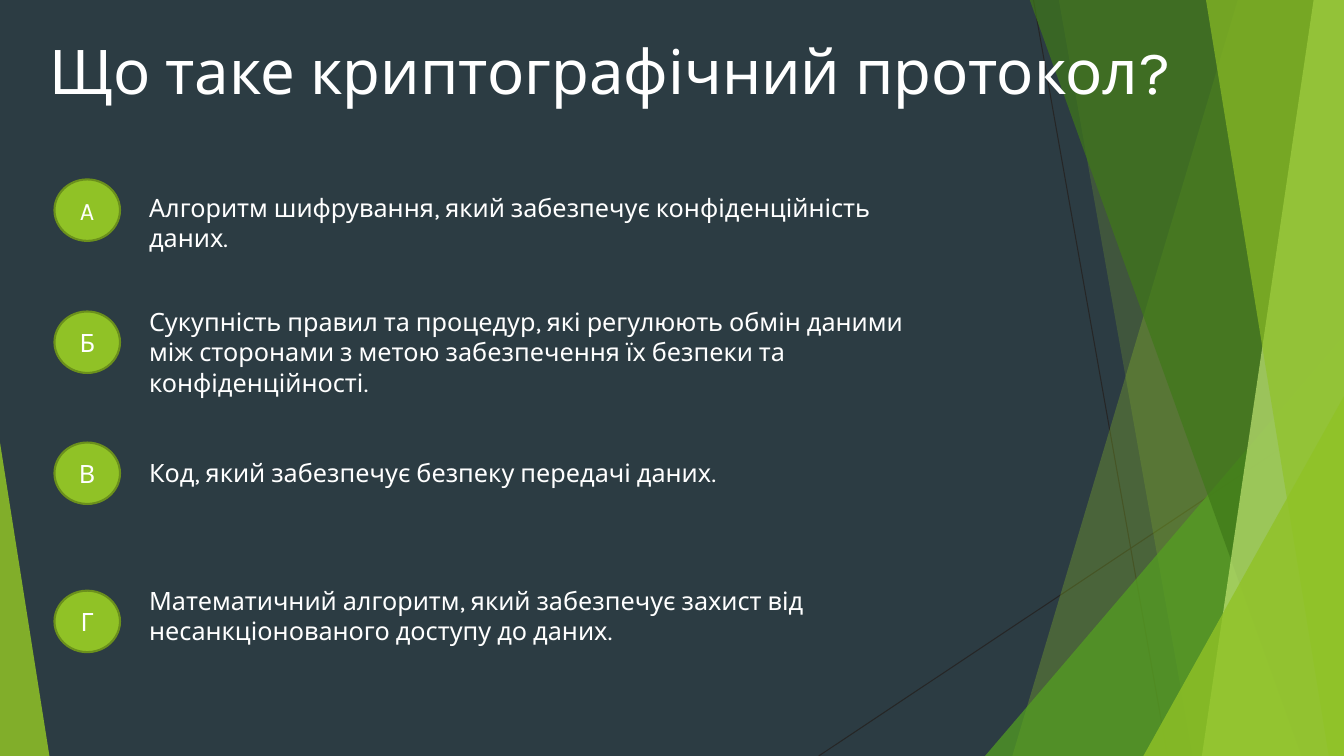
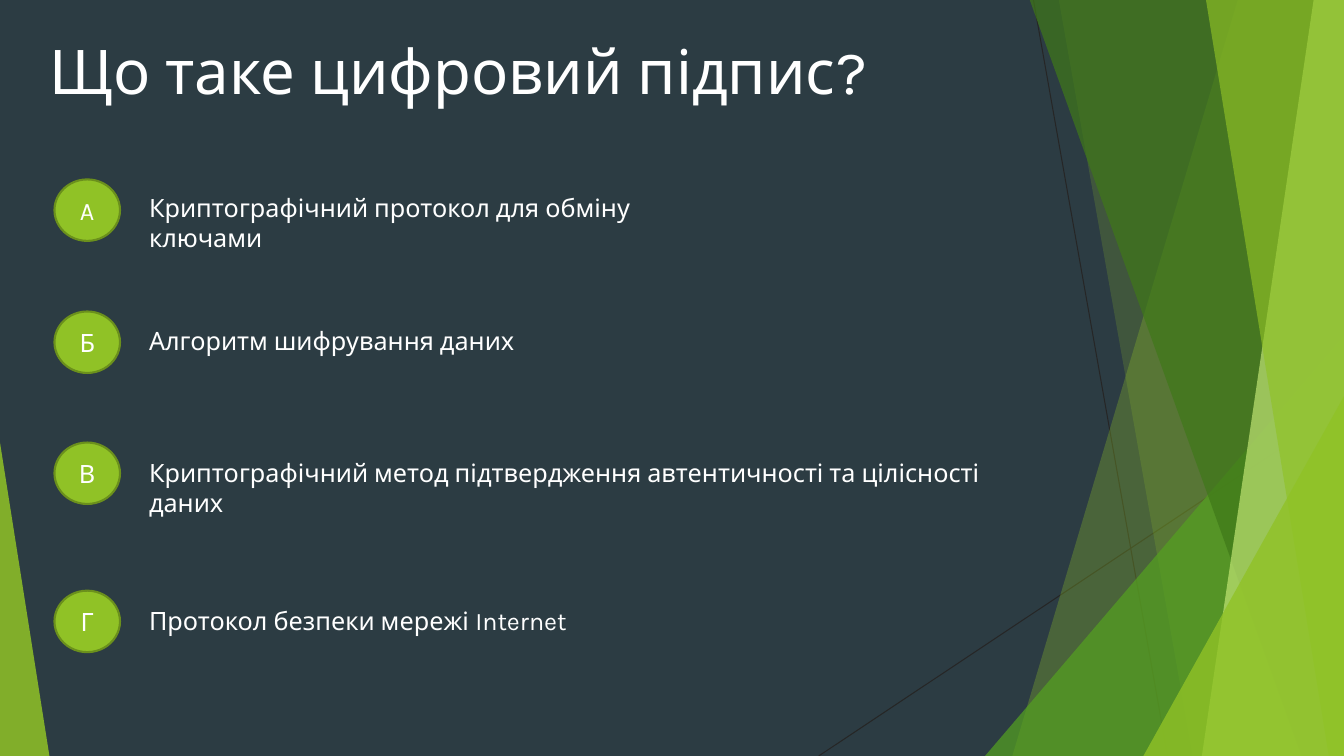
import pptx
import pptx.dml.color
import pptx.enum.shapes
import pptx.enum.text
import pptx.oxml
import pptx.oxml.ns
import pptx.util

Inches = pptx.util.Inches
Pt = pptx.util.Pt
SHAPES = pptx.enum.shapes.MSO_SHAPE
ALIGN = pptx.enum.text.PP_ALIGN
ANCHOR = pptx.enum.text.MSO_ANCHOR
FIT = pptx.enum.text.MSO_AUTO_SIZE

WIDTH, HEIGHT, BLEED = 13.33, 7.5, -0.01
FONT = "Karla"
NIGHT, WHITE, THREAD = "2C3C43", "FFFFFF", "262626"
LIME, RIM, GRASS, FOREST, PALE = "90C226", "6B901C", "54A021", "3F7819", "C0E474"

BADGES = [("A", 1.78), ("Б", 3.09), ("В", 4.39), ("Г", 5.86)]

# Each question: title, then (answer, top, width) in badge order
QUESTIONS = [
    ("Що таке криптографічний протокол?", [
        ("Алгоритм шифрування, який забезпечує конфіденційність даних.", 1.86, 7.92),
        ("Сукупність правил та процедур, які регулюють обмін даними між сторонами "
         "з метою забезпечення їх безпеки та конфіденційності.", 2.99, 8.06),
        ("Код, який забезпечує безпеку передачі даних.", 4.49, 6.67),
        ("Математичний алгоритм, який забезпечує захист від несанкціонованого "
         "доступу до даних.", 5.76, 7.92),
    ]),
    ("Що таке цифровий підпис?", [
        ("Криптографічний протокол для обміну ключами", 1.86, 5.85),
        ("Алгоритм шифрування даних", 3.18, 8.06),
        ("Криптографічний метод підтвердження автентичності та цілісності даних",
         4.49, 8.97),
        ("Протокол безпеки мережі Internet", 5.96, 7.92),
    ]),
]


def rgb(code):
    """Turn a hex string into a colour."""
    return pptx.dml.color.RGBColor.from_string(code)


class Quiz:
    """Holds the presentation, its style and the current slide."""

    def __init__(self):
        """Set the page size and the shared background."""
        self.deck = pptx.Presentation()
        self.deck.slide_width = Inches(WIDTH)
        self.deck.slide_height = Inches(HEIGHT)
        self.layout = self.deck.slide_layouts.get_by_name("Title Only")
        backdrop = self.layout.background.fill
        backdrop.solid()
        backdrop.fore_color.rgb = rgb(NIGHT)
        self.slide = None
        self.facets = None

    def add_slide(self):
        """Start a new slide."""
        self.slide = self.deck.slides.add_slide(self.layout)

    def set_text(self, shape, text, size, align=ALIGN.LEFT, anchor=ANCHOR.TOP):
        """Put white text in a shape."""
        frame = shape.text_frame
        frame.text = text
        frame.word_wrap = True
        frame.vertical_anchor = anchor
        paragraph = frame.paragraphs[0]
        paragraph.alignment = align
        font = paragraph.runs[0].font
        font.name, font.size = FONT, Pt(size)
        font.color.rgb = rgb(WHITE)

    def paint(self, shape, colour, opacity):
        """Give a facet a translucent fill without outline or shadow."""
        shape.shadow.inherit = False
        shape.line.fill.background()
        shape.fill.solid()
        shape.fill.fore_color.rgb = rgb(colour)
        tint = shape.element.spPr.find(".//" + pptx.oxml.ns.qn("a:srgbClr"))
        alpha = pptx.oxml.parse_xml(
            f'<a:alpha {pptx.oxml.ns.nsdecls("a")} val="{opacity * 1000}"/>')
        tint.append(alpha)

    def thread(self, x1, y1, x2, y2):
        """Draw a thin line behind the facets."""
        line = self.facets.add_connector(
            pptx.enum.shapes.MSO_CONNECTOR.STRAIGHT,
            Inches(x1), Inches(y1), Inches(x2), Inches(y2))
        line.line.color.rgb = rgb(THREAD)
        line.line.width = Pt(0.75)
        line.element.spPr.append(pptx.oxml.parse_xml(
            f'<a:effectLst {pptx.oxml.ns.nsdecls("a")}/>'))

    def band(self, top_x, bottom_x, colour, opacity):
        """Draw a facet from a slanted left side to the right edge."""
        outline = self.facets.build_freeform(Inches(top_x), Inches(BLEED))
        corners = [(WIDTH, BLEED), (WIDTH, HEIGHT), (bottom_x, HEIGHT)]
        outline.add_line_segments([(Inches(x), Inches(y)) for x, y in corners])
        self.paint(outline.convert_to_shape(), colour, opacity)

    def wedge(self, left, top, width, apex, colour, opacity):
        """Draw a right triangle standing on the bottom edge."""
        triangle = self.facets.add_shape(
            SHAPES.ISOSCELES_TRIANGLE, Inches(left), Inches(top),
            Inches(width), Inches(HEIGHT - top))
        triangle.adjustments[0] = apex
        self.paint(triangle, colour, opacity)

    def decorate_layout(self):
        """Draw the facets on the current slide and move them to the layout."""
        group = self.slide.shapes.add_group_shape()
        self.facets = group.shapes
        self.thread(10.25, 0, 11.58, HEIGHT)
        self.thread(WIDTH, 4.03, 8.12, HEIGHT)
        self.band(12.28, 10.04, LIME, 30)
        self.band(10.5, 11.83, LIME, 20)
        self.wedge(9.77, 3.33, 3.56, 1, GRASS, 72)
        self.band(10.21, 12.91, FOREST, 70)
        self.band(13.03, 11.92, PALE, 70)
        self.band(11.96, 13.18, LIME, 65)
        self.wedge(11.34, 3.93, 1.99, 1, LIME, 80)
        self.wedge(0, 4.39, 0.49, 0, LIME, 85)
        names = group.element.iter(pptx.oxml.ns.qn("p:cNvPr"))
        for number, name in enumerate(names, 100):
            name.set("id", str(number))
        self.layout.shapes.element.insert(2, group.element)

    def title(self, text):
        """Fill the title placeholder."""
        heading = self.slide.shapes.title
        heading.left, heading.top = Inches(0.39), Inches(0.28)
        heading.width, heading.height = Inches(12.39), Inches(0.84)
        self.set_text(heading, text, 44)
        heading.text_frame.auto_size = FIT.SHAPE_TO_FIT_TEXT

    def badge(self, letter, top):
        """Draw the round letter of an answer."""
        circle = self.slide.shapes.add_shape(
            SHAPES.OVAL, Inches(0.54), Inches(top), Inches(0.65), Inches(0.61))
        circle.shadow.inherit = False
        circle.fill.solid()
        circle.fill.fore_color.rgb = rgb(LIME)
        circle.line.color.rgb = rgb(RIM)
        circle.line.width = Pt(1.5)
        self.set_text(circle, letter, 18, ALIGN.CENTER, ANCHOR.MIDDLE)

    def answer(self, text, top, width):
        """Place an answer beside its badge."""
        box = self.slide.shapes.add_textbox(
            Inches(1.38), Inches(top), Inches(width), Inches(0.4))
        self.set_text(box, text, 18)
        box.text_frame.auto_size = FIT.SHAPE_TO_FIT_TEXT


quiz = Quiz()
for index, (question, answers) in enumerate(QUESTIONS):
    quiz.add_slide()
    if index == 0:
        quiz.decorate_layout()
    quiz.title(question)
    for letter, badge_top in BADGES:
        quiz.badge(letter, badge_top)
    for text, top, width in answers:
        quiz.answer(text, top, width)
quiz.deck.save("out.pptx")
